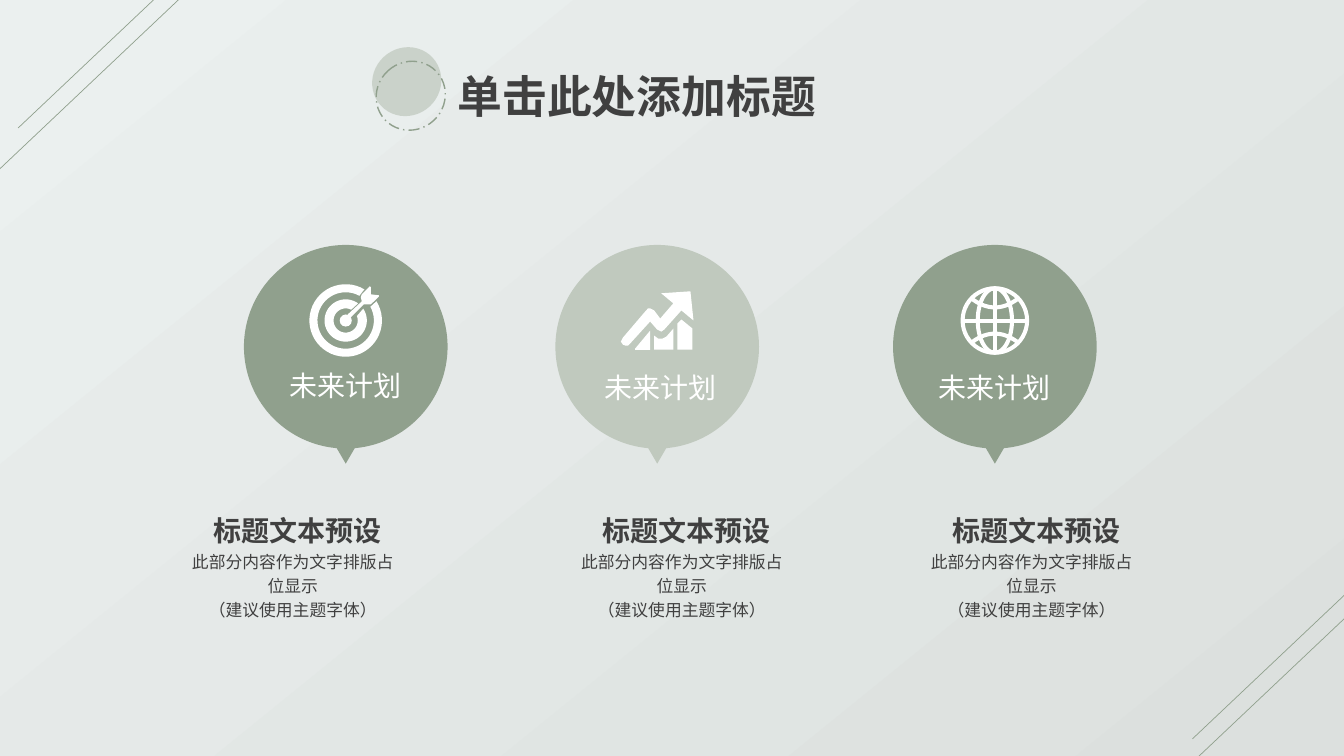
from math import cos, radians, sin

from lxml import etree
from pptx import Presentation
from pptx.dml.color import RGBColor
from pptx.enum import dml, shapes, text
from pptx.oxml import ns
from pptx.util import Inches, Pt

# Content
TITLE = "单击此处添加标题"
LABEL = "未来计划"
HEADING = "标题文本预设"
BODY = "此部分内容作为文字排版占位显示\v（建议使用主题字体）"
FONT = "Noto Sans CJK SC"

WHITE = RGBColor(0xFF, 0xFF, 0xFF)
DARK = RGBColor(0x40, 0x40, 0x40)
SAGE = RGBColor(0x90, 0xA0, 0x8D)
PALE = RGBColor(0xC0, 0xC9, 0xBE)
BACK = [RGBColor(0xEB, 0xF0, 0xEF), RGBColor(0xDC, 0xE0, 0xDE)]

# Bubble left, bubble colour, label left and top, text column left
COLUMNS = [
    (2.42, SAGE, 2.77, 3.61, 1.87),
    (5.51, PALE, 5.90, 3.63, 5.73),
    (8.86, SAGE, 9.21, 3.63, 9.20),
]
CORNER_LINES = [
    (1.80, -0.03, -0.06, 1.73),
    (2.04, -0.49, 0.18, 1.27),
    (13.45, 6.03, 11.59, 7.79),
    (13.68, 5.58, 11.83, 7.33),
]

# Icon outlines
TARGET = (3.43, 3.18)
TARGET_RINGS = [  # outer radius, its gap angles, inner radius, its gap angles
    (0.36, 32, 59, 0.28, 29, 61),
    (0.21, 34, 54, 0.12, 22, 63),
]
DART = [(3.59, 2.92), (3.67, 2.84), (3.68, 2.85), (3.68, 2.92), (3.76, 2.93),
        (3.76, 2.94), (3.68, 3.02), (3.61, 3.02), (3.48, 3.15), (3.43, 3.18),
        (3.45, 3.12), (3.59, 2.99), (3.58, 2.95)]
GROWTH = [
    [(6.76, 3.17), (6.72, 3.21), (6.72, 3.47), (6.87, 3.47), (6.87, 3.26)],
    [(6.45, 3.19), (6.25, 3.41), (6.23, 3.43), (6.21, 3.43), (6.18, 3.42),
     (6.16, 3.39), (6.18, 3.35), (6.41, 3.08), (6.43, 3.06), (6.45, 3.06),
     (6.49, 3.08), (6.55, 3.16), (6.68, 3.01), (6.56, 2.91), (6.85, 2.89),
     (6.88, 3.18), (6.76, 3.08), (6.59, 3.27), (6.56, 3.29), (6.52, 3.27)],
    [(6.61, 3.34), (6.57, 3.36), (6.53, 3.36), (6.49, 3.33), (6.49, 3.47),
     (6.68, 3.47), (6.68, 3.26)],
    [(6.30, 3.47), (6.45, 3.47), (6.45, 3.28), (6.30, 3.46)],
]
GLOBE = (9.87, 3.18)
GLOBE_R = 0.32

prs = Presentation()
prs.slide_width, prs.slide_height = Inches(40) // 3, Inches(7.5)
s = prs.slides.add_slide(prs.slide_layouts[6])


def paint(sp, fill=None, line=None, width=1):
    sp.shadow.inherit = False
    if fill is None:
        sp.fill.background()
    else:
        sp.fill.solid()
        sp.fill.fore_color.rgb = fill
    if line is None:
        sp.line.fill.background()
    else:
        sp.line.color.rgb = line
        sp.line.width = Pt(width)
    return sp


def add_preset(kind, box, **look):
    return paint(s.shapes.add_shape(kind, *map(Inches, box)), **look)


def add_circle(center, rx, ry, **look):
    x, y = center
    return add_preset(shapes.MSO_SHAPE.OVAL, (x - rx, y - ry, 2 * rx, 2 * ry), **look)


def add_outline(points, close=True, **look):
    emu = [(Inches(x), Inches(y)) for x, y in points]
    fb = s.shapes.build_freeform(*emu[0])
    fb.add_line_segments(emu[1:], close=close)
    return paint(fb.convert_to_shape(), **look)


def add_line(x1, y1, x2, y2, color, width):
    c = s.shapes.add_connector(shapes.MSO_CONNECTOR.STRAIGHT,
                               *map(Inches, (x1, y1, x2, y2)))
    c.line.color.rgb = color
    c.line.width = Pt(width)
    etree.SubElement(c._element.spPr, ns.qn("a:effectLst"))


def add_text(words, box, size, color, bold=False, frame=None, para=None):
    tf = s.shapes.add_textbox(*map(Inches, box)).text_frame
    for name, value in (frame or {}).items():
        setattr(tf, name, value)
    p = tf.paragraphs[0]
    p.text = words
    for name, value in (para or {}).items():
        setattr(p, name, value)
    look = {"size": Pt(size), "bold": bold, "name": FONT}
    for r in p.runs:
        for name, value in look.items():
            setattr(r.font, name, value)
        r.font.color.rgb = color
        ea = etree.SubElement(r._r.get_or_add_rPr(), ns.qn("a:ea"))
        ea.set("typeface", FONT)


def arc(center, radius, start, end, steps=48):
    angles = [radians(start + (end - start) * i / steps) for i in range(steps + 1)]
    return [(center[0] + radius * cos(a), center[1] - radius * sin(a)) for a in angles]


# Background and corner lines
back = add_preset(shapes.MSO_SHAPE.RECTANGLE, (-0.01, 0, 13.41, 7.6))
back.fill.gradient()
back.fill.gradient_angle = 360 - 51
for stop, color in zip(back.fill.gradient_stops, BACK):
    stop.color.rgb = color
for ends in CORNER_LINES:
    add_line(*ends, SAGE, 0.5)

# Title with its two circles
add_text(TITLE, (4.44, 0.63, 4.95, 0.64), 32, DARK, True,
         {"word_wrap": True}, {"alignment": text.PP_ALIGN.JUSTIFY})
disc = add_preset(shapes.MSO_SHAPE.OVAL, (3.7, 0.46, 0.67, 0.7), fill=PALE)
alpha = etree.SubElement(disc.fill._xPr.find(".//" + ns.qn("a:srgbClr")), ns.qn("a:alpha"))
alpha.set("val", "74000")
ring = add_preset(shapes.MSO_SHAPE.OVAL, (3.74, 0.6, 0.67, 0.7), line=SAGE)
ring.line.dash_style = dml.MSO_LINE.LONG_DASH_DOT
disc.rotation = ring.rotation = 47

# Bubbles, labels and text columns
no_inset = dict.fromkeys(
    ("margin_left", "margin_top", "margin_right", "margin_bottom"), 0)
centred = {"alignment": text.PP_ALIGN.CENTER}
for left, color, label_x, label_y, text_x in COLUMNS:
    add_preset(shapes.MSO_SHAPE.OVAL, (left, 2.43, 2.02, 2.02), fill=color)
    tip = add_preset(shapes.MSO_SHAPE.ISOSCELES_TRIANGLE,
                     (left + 0.83, 4.29, 0.36, 0.31), fill=color)
    tip.rotation = 180
    add_text(LABEL, (label_x, label_y, 1.31, 0.44), 20, WHITE,
             frame={"word_wrap": False})
    add_text(HEADING, (text_x, 4.97, 2.17, 0.46), 20, DARK, True,
             {**no_inset, "word_wrap": False,
              "vertical_anchor": text.MSO_ANCHOR.BOTTOM}, centred)
    add_text(BODY, (text_x, 5.43, 2.07, 0.32), 12, DARK, False,
             {**no_inset, "word_wrap": True}, {**centred, "line_spacing": 1.2})

# Target icon
for outer, o1, o2, inner, i1, i2 in TARGET_RINGS:
    add_outline(arc(TARGET, outer, o2, 360 + o1) + arc(TARGET, inner, 360 + i1, i2),
                fill=WHITE)
add_circle(TARGET, 0.06, 0.06, fill=WHITE)
add_outline(DART, fill=WHITE)

# Growth icon
for part in GROWTH:
    add_outline(part, fill=WHITE)

# Globe icon
gx, gy = GLOBE
for rx in (GLOBE_R, 0.17):
    add_circle(GLOBE, rx, GLOBE_R, line=WHITE, width=2.9)
add_line(gx - GLOBE_R, gy, gx + GLOBE_R, gy, WHITE, 2.9)
add_line(gx, gy - GLOBE_R, gx, gy + GLOBE_R, WHITE, 2.9)
for side in (-1, 1):
    parallel = [(gx + 0.22 * t / 8, gy + side * (0.13 + 0.08 * (t / 8) ** 2))
                for t in range(-8, 9)]
    add_outline(parallel, close=False, line=WHITE, width=2.9)

prs.save("out.pptx")
